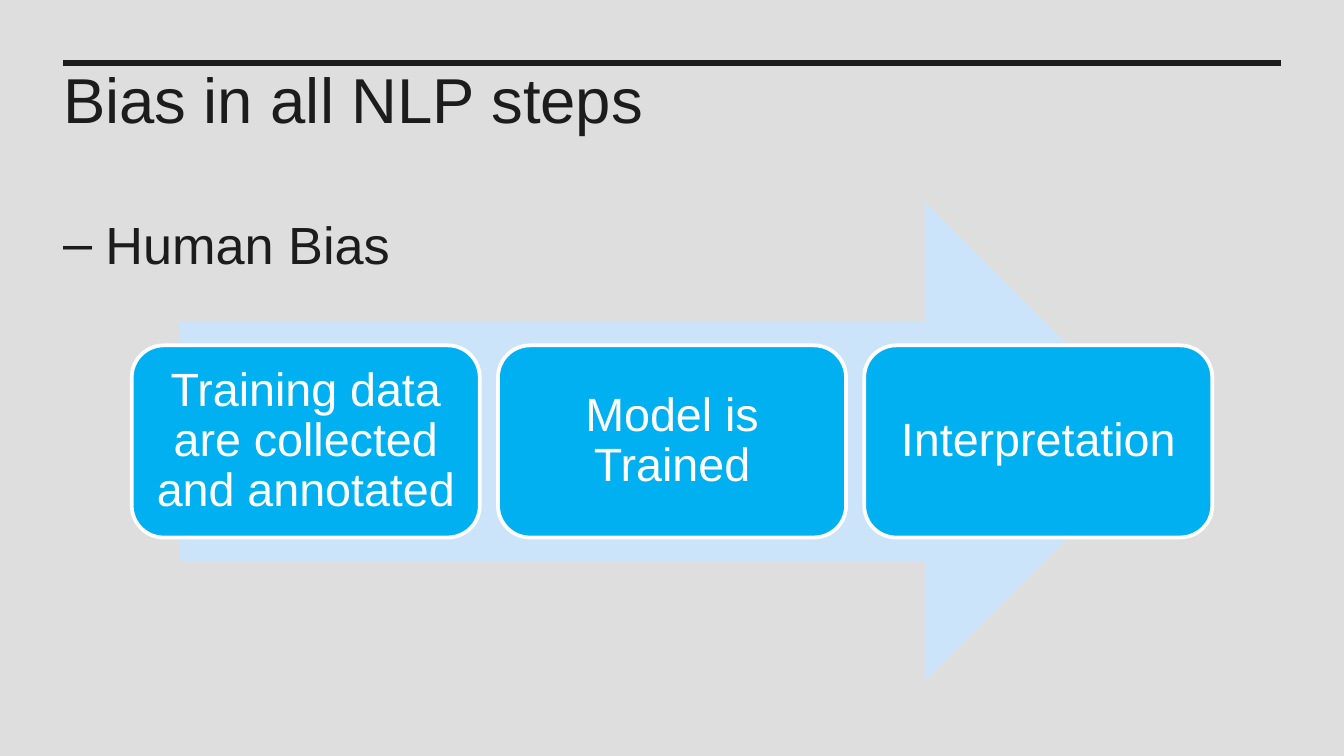
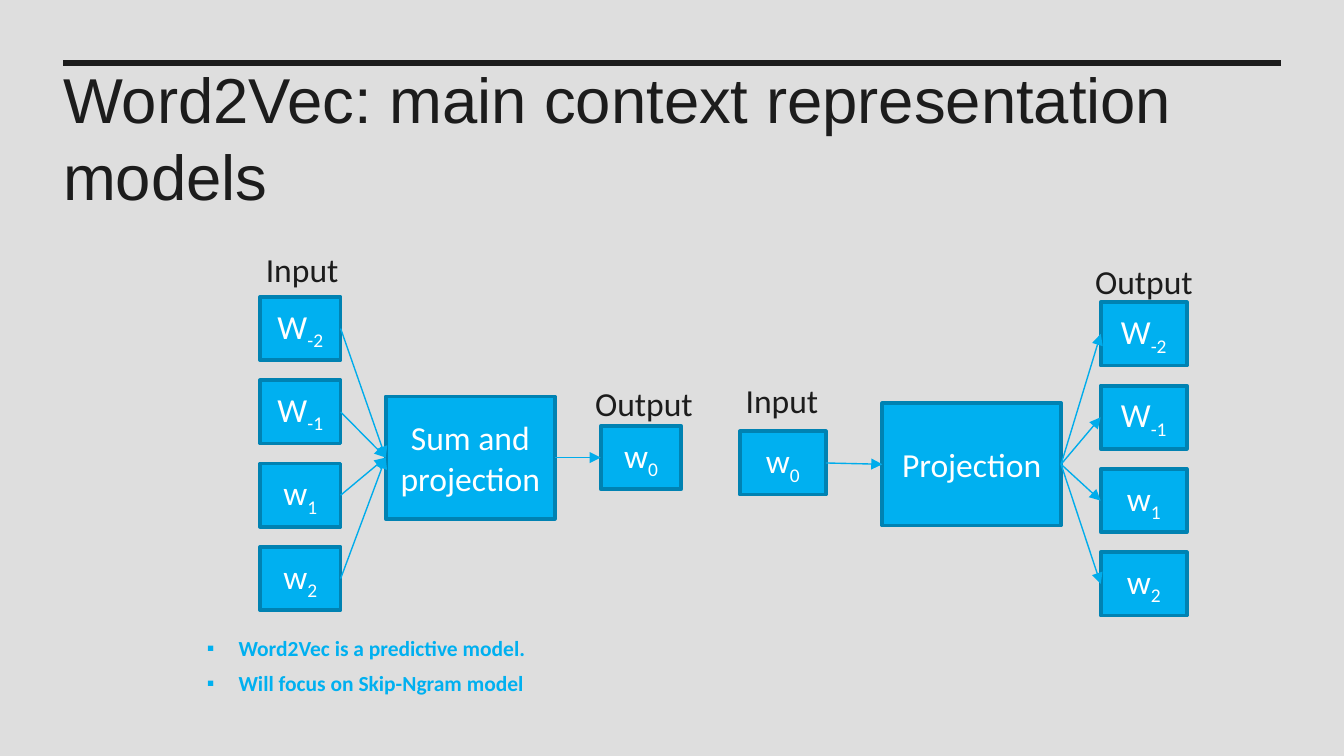
from lxml.etree import SubElement
from pptx import Presentation
from pptx.dml.color import RGBColor
from pptx.enum.shapes import MSO_CONNECTOR as Wire, MSO_SHAPE as Kind
from pptx.enum.text import MSO_ANCHOR as Anchor, PP_ALIGN as Align
from pptx.oxml.ns import qn
from pptx.util import Inches, Pt

GRAY = RGBColor(0xDE, 0xDE, 0xDE)
INK = RGBColor(0x1C, 0x1C, 0x1C)
WHITE = RGBColor(0xFF, 0xFF, 0xFF)
PALE = RGBColor(0xCC, 0xE4, 0xF9)
BLUE = RGBColor(0x00, 0xB0, 0xF0)
EDGE = RGBColor(0x00, 0x82, 0xB2)
WIRE = RGBColor(0x00, 0xAC, 0xEB)

deck = Presentation()
deck.slide_width, deck.slide_height = Inches(10), Inches(5.625)
UNIT = deck.slide_width // 100  # square grid of 100 columns


def put(page, at, text="", kind=None, fill=BLUE, edge=None, size=18, font="Calibri",
        color=INK, bold=None, align=None, anchor=Anchor.TOP, pad=(1, 0.5),
        lead=None, before=0, after=0, mark=None, hang=0):
    """Place a shape, or a text box if kind is None; "_" starts a subscript."""
    spot = [round(n * UNIT) for n in at]
    if kind is None:
        shape = page.shapes.add_textbox(*spot)
    else:
        shape = page.shapes.add_shape(kind, *spot)
        shape.shadow.inherit = False
        shape.fill.solid()
        shape.fill.fore_color.rgb = fill
        if edge is None:
            shape.line.fill.background()
        else:
            shape.line.color.rgb = edge
            shape.line.width = Pt(2)
    frame = shape.text_frame
    frame.word_wrap = True
    frame.vertical_anchor = anchor
    frame.margin_left = frame.margin_right = round(pad[0] * UNIT)
    frame.margin_top = frame.margin_bottom = round(pad[1] * UNIT)
    for i, line in enumerate(text.split("\n") if text else []):
        para = frame.add_paragraph() if i else frame.paragraphs[0]
        if mark:
            props = para._p.get_or_add_pPr()
            props.set("marL", str(round(hang * UNIT)))
            props.set("indent", str(-round(hang * UNIT)))
            tint = SubElement(props, qn("a:buClr"))
            SubElement(tint, qn("a:srgbClr"), val=str(color))
            SubElement(props, qn("a:buFont"), typeface="Arial")
            SubElement(props, qn("a:buChar"), char=mark)
        para.alignment = align
        para.line_spacing = lead
        para.space_before = Pt(before if i else 0)
        para.space_after = Pt(after)
        for j, part in enumerate(line.split("_")):
            run = para.add_run()
            run.text = part
            run.font.size, run.font.name, run.font.bold = Pt(size), font, bold
            run.font.color.rgb = color
            if j:
                run.font._element.set("baseline", "-25000")
    return shape


def link(page, ends, color, width):
    """Draw a straight line between two grid points."""
    wire = page.shapes.add_connector(Wire.STRAIGHT, *[round(n * UNIT) for n in ends])
    wire.line.color.rgb = color
    wire.line.width = Pt(width)
    SubElement(wire._element.spPr, qn("a:effectLst"))
    return wire


# What both slides share
pages = []
for title in ("Bias in all NLP steps", "Word2Vec: main context representation models"):
    page = deck.slides.add_slide(deck.slide_layouts[6])
    page.background.fill.solid()
    page.background.fill.fore_color.rgb = GRAY
    link(page, (4.7, 4.7, 95.3, 4.7), INK, 3)
    put(page, (4.7, 4.5, 90.6, 7.7), title, size=34, font="Arial", pad=(0, 0), after=8)
    pages.append(page)
bias, model = pages

# Slide 1: steps on a wide arrow
put(bias, (4.7, 15.8, 61.7, 31.7), "Human Bias", size=28, font="Arial", pad=(0, 0),
    after=8, mark="–", hang=3.15)
put(bias, (13.35, 15, 73.3, 35.7), kind=Kind.RIGHT_ARROW, fill=PALE)
steps = "Training data are collected and annotated", "Model is Trained", "Interpretation"
for i, step in enumerate(steps):
    put(bias, (9.8 + 27.25 * i, 25.7, 25.9, 14.3), step, Kind.ROUNDED_RECTANGLE,
        edge=WHITE, size=25, font="Arial", color=WHITE, align=Align.CENTER,
        anchor=Anchor.MIDDLE, pad=(0.9, 0.9), lead=0.9)

# Slide 2: two networks, the second one mirrored
node = dict(kind=Kind.RECTANGLE, edge=EDGE, color=WHITE, align=Align.CENTER,
            anchor=Anchor.MIDDLE)
words = "W_-2", "W_-1", "w_1", "w_2"
nets = [
    # hub text, hub place, column of words, place of w0, node width, words come first
    ("Sum and projection", (28.7, 29.5, 12.6, 9.1), (19.35, 22.1), (44.7, 31.7), 6, True),
    ("Projection", (65.65, 30, 13.3, 9.1), (81.9, 22.5), (55.05, 32.1), 6.4, False),
]
for name, spot, (x, y), lone, wide, first in nets:
    hub = put(model, spot, name, **node)
    many = [put(model, (x, y + 6.2 * i, wide, 4.7), word, **node)
            for i, word in enumerate(words)]
    one = put(model, (*lone, wide, 4.7), "w_0", **node)
    if first:
        pairs = [(word, hub) for word in many] + [(hub, one)]
    else:
        pairs = [(hub, word) for word in many] + [(one, hub)]
    for start, stop in pairs:
        wire = link(model, (0, 0, 1, 1), WIRE, 0.75)
        wire.begin_connect(start, 3)
        wire.end_connect(stop, 1)
        SubElement(wire.line._get_or_add_ln(), qn("a:tailEnd"), type="triangle")

labels = [("Input", 18.8, 18), ("Output", 43.3, 28), ("Input", 54.5, 27.8),
          ("Output", 80.5, 18.9)]
for label, x, y in labels:
    put(model, (x, y, 12, 4), label)

put(model, (14.7, 47.2, 70.7, 5),
    "Word2Vec is a predictive model.\nWill focus on Skip-Ngram model",
    size=11.5, color=BLUE, bold=True, anchor=Anchor.MIDDLE, pad=(0.7, 0.4),
    lead=0.8, before=7.5, mark="▪", hang=2.35)

deck.save("out.pptx")
